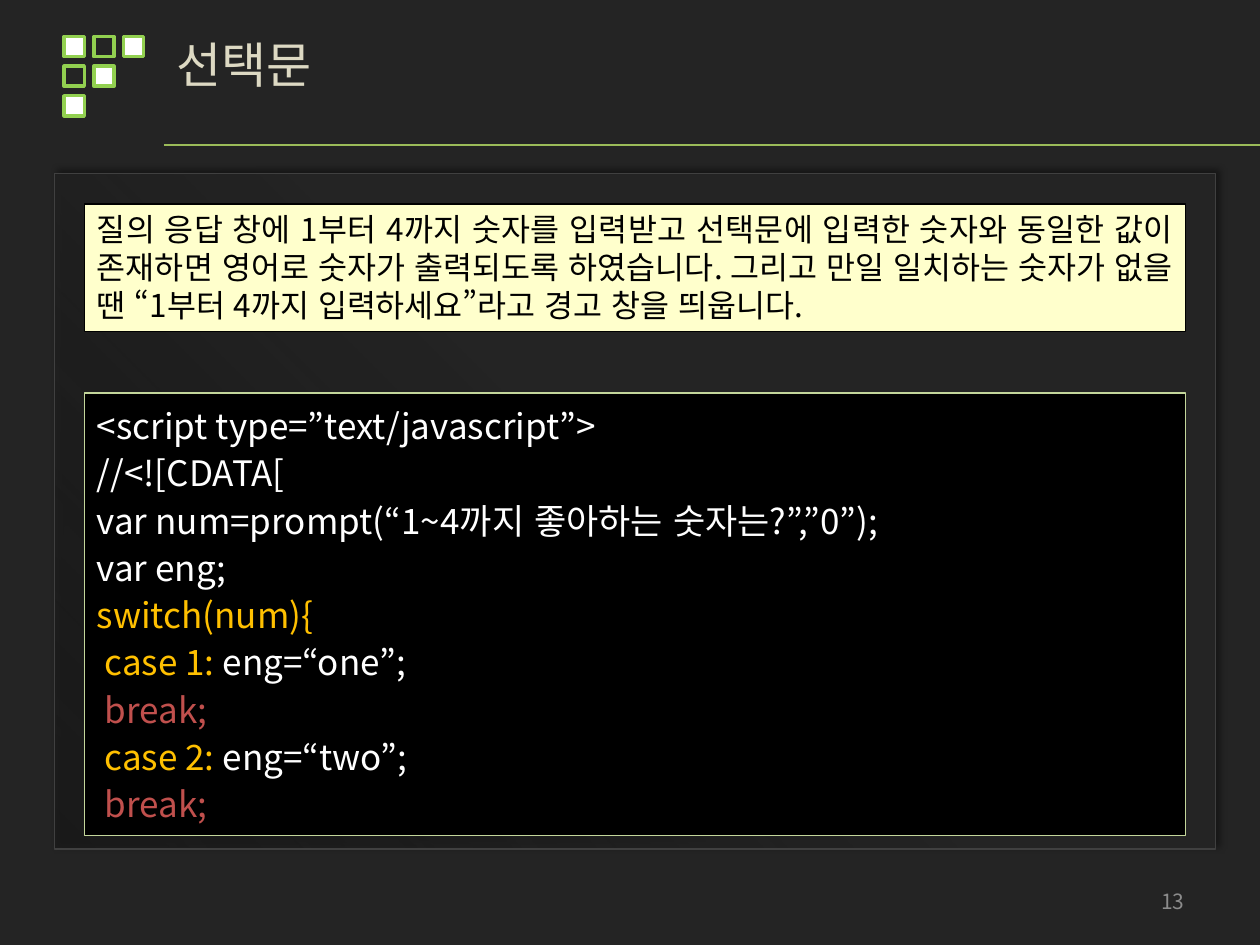
from lxml import etree
from pptx import Presentation
from pptx.dml.color import RGBColor
from pptx.enum import lang, shapes, text
from pptx.oxml import parse_xml
from pptx.oxml.ns import qn
from pptx.util import Inches, Pt

FONT = "Noto Sans CJK KR"
NS = 'xmlns:a="http://schemas.openxmlformats.org/drawingml/2006/main"'
DARK = RGBColor(0x24, 0x24, 0x24)
LIME = RGBColor(0x92, 0xD0, 0x50)
GREEN = RGBColor(0x9B, 0xBB, 0x59)
PALE = RGBColor(0xC3, 0xD6, 0x9B)
EDGE = RGBColor(0x40, 0x40, 0x40)
CREAM = RGBColor(0xFF, 0xFF, 0xCC)
BEIGE = RGBColor(0xDD, 0xD9, 0xC3)
GRAY = RGBColor(0x8C, 0x8C, 0x8C)
WHITE = RGBColor(0xFF, 0xFF, 0xFF)
BLACK = RGBColor(0, 0, 0)
GOLD = RGBColor(0xFF, 0xC0, 0)
RED = RGBColor(0xC0, 0x50, 0x4D)

prs = Presentation()
prs.slide_width, prs.slide_height = Inches(10), Inches(7.5)
slide = prs.slides.add_slide(prs.slide_layouts[5])
slide.background.fill.solid()
slide.background.fill.fore_color.rgb = DARK


def add_rect(x, y, w, h, fill, line, width):
    """Add a flat rectangle; a fill of None leaves it hollow."""
    rect = slide.shapes.add_shape(shapes.MSO_SHAPE.RECTANGLE, Inches(x),
                                  Inches(y), Inches(w), Inches(h))
    rect.shadow.inherit = False
    if fill is None:
        rect.fill.background()
    else:
        rect.fill.solid()
        rect.fill.fore_color.rgb = fill
    rect.line.color.rgb = line
    rect.line.width = Pt(width)
    rect.text_frame.vertical_anchor = text.MSO_ANCHOR.TOP
    return rect


def add_run(para, words, size, color):
    """Add a run marked as Korean, so quotes and spaces take Korean widths."""
    run = para.add_run()
    run.text = words
    run.font.size = Pt(size)
    run.font.name = FONT
    run.font.color.rgb = color
    run.font.language_id = lang.MSO_LANGUAGE_ID.KOREAN
    asian = etree.SubElement(run.font._element, qn("a:ea"))
    asian.set("typeface", FONT)


# Corner squares: a triangle of filled and hollow cells
for row, cells in enumerate([(WHITE, None, WHITE), (None, WHITE), (WHITE,)]):
    for col, fill in enumerate(cells):
        add_rect(0.51 + 0.235 * col, 0.29 + 0.235 * row, 0.16, 0.16,
                 fill, LIME, 2)

rule = slide.shapes.add_connector(shapes.MSO_CONNECTOR.STRAIGHT, Inches(1.3),
                                  Inches(1.15), Inches(10), Inches(1.15))
rule.line.color.rgb = GREEN
rule.line.width = Pt(1.25)
etree.SubElement(rule._element.spPr, qn("a:effectLst"))

# Panel with a radial gradient and a soft shadow
panel = add_rect(0.43, 1.38, 9.22, 5.36, DARK, EDGE, 0.75)
props = panel._element.spPr
props.replace(props.find(qn("a:solidFill")), parse_xml(
    f'<a:gradFill {NS}><a:gsLst>'
    '<a:gs pos="0"><a:srgbClr val="191919"><a:alpha val="62000"/></a:srgbClr></a:gs>'
    '<a:gs pos="50000"><a:srgbClr val="242424"/></a:gs></a:gsLst>'
    '<a:path path="circle"><a:fillToRect t="100000" r="100000"/></a:path>'
    '</a:gradFill>'))
props.find(qn("a:effectLst")).append(parse_xml(
    f'<a:outerShdw {NS} blurRad="{Pt(4)}" dist="{Pt(3)}" dir="18900000">'
    '<a:srgbClr val="000000"><a:alpha val="40000"/></a:srgbClr></a:outerShdw>'))

title = slide.shapes.title
title.left, title.top = Inches(1.3), Inches(0.22)
title.width, title.height = Inches(8.66), Inches(0.85)
title.text_frame.vertical_anchor = text.MSO_ANCHOR.TOP
para = title.text_frame.paragraphs[0]
para.alignment = text.PP_ALIGN.LEFT
add_run(para, "선택문", 28, BEIGE)

number = slide.shapes.add_textbox(Inches(7.17), Inches(6.95),
                                  Inches(2.33), Inches(0.4))
number.text_frame.word_wrap = True
number.text_frame.vertical_anchor = text.MSO_ANCHOR.MIDDLE
para = number.text_frame.paragraphs[0]
para.alignment = text.PP_ALIGN.RIGHT
add_run(para, "13", 12, GRAY)

code = [
    [("<script type=”text/javascript”>", WHITE)],
    [("//<![CDATA[", WHITE)],
    [("var num=prompt(“1~4까지 좋아하는 숫자는?”,”0”);", WHITE)],
    [("var eng;", WHITE)],
    [("switch(num){", GOLD)],
]
for case, word in enumerate(["one", "two"], 1):
    code.append([(f" case {case}: ", GOLD), (f"eng=“{word}”;", WHITE)])
    code.append([(" break;", RED)])

frame = add_rect(0.67, 3.12, 8.74, 3.51, BLACK, PALE, 0.75).text_frame
frame.auto_size = text.MSO_AUTO_SIZE.SHAPE_TO_FIT_TEXT
for i, runs in enumerate(code):
    para = frame.add_paragraph() if i else frame.paragraphs[0]
    para.alignment = text.PP_ALIGN.JUSTIFY
    para.line_spacing = Pt(27)
    for words, color in runs:
        add_run(para, words, 20, color)

frame = add_rect(0.67, 1.62, 8.74, 1.01, CREAM, BLACK, 0.75).text_frame
frame.auto_size = text.MSO_AUTO_SIZE.SHAPE_TO_FIT_TEXT
para = frame.paragraphs[0]
para.alignment = text.PP_ALIGN.JUSTIFY
add_run(para, "질의 응답 창에 1부터 4까지 숫자를 입력받고 선택문에 입력한 숫자와 "
        "동일한 값이 존재하면 영어로 숫자가 출력되도록 하였습니다. 그리고 만일 "
        "일치하는 숫자가 없을 땐 “1부터 4까지 입력하세요”라고 경고 창을 띄웁니다.",
        18, BLACK)

prs.save("out.pptx")
